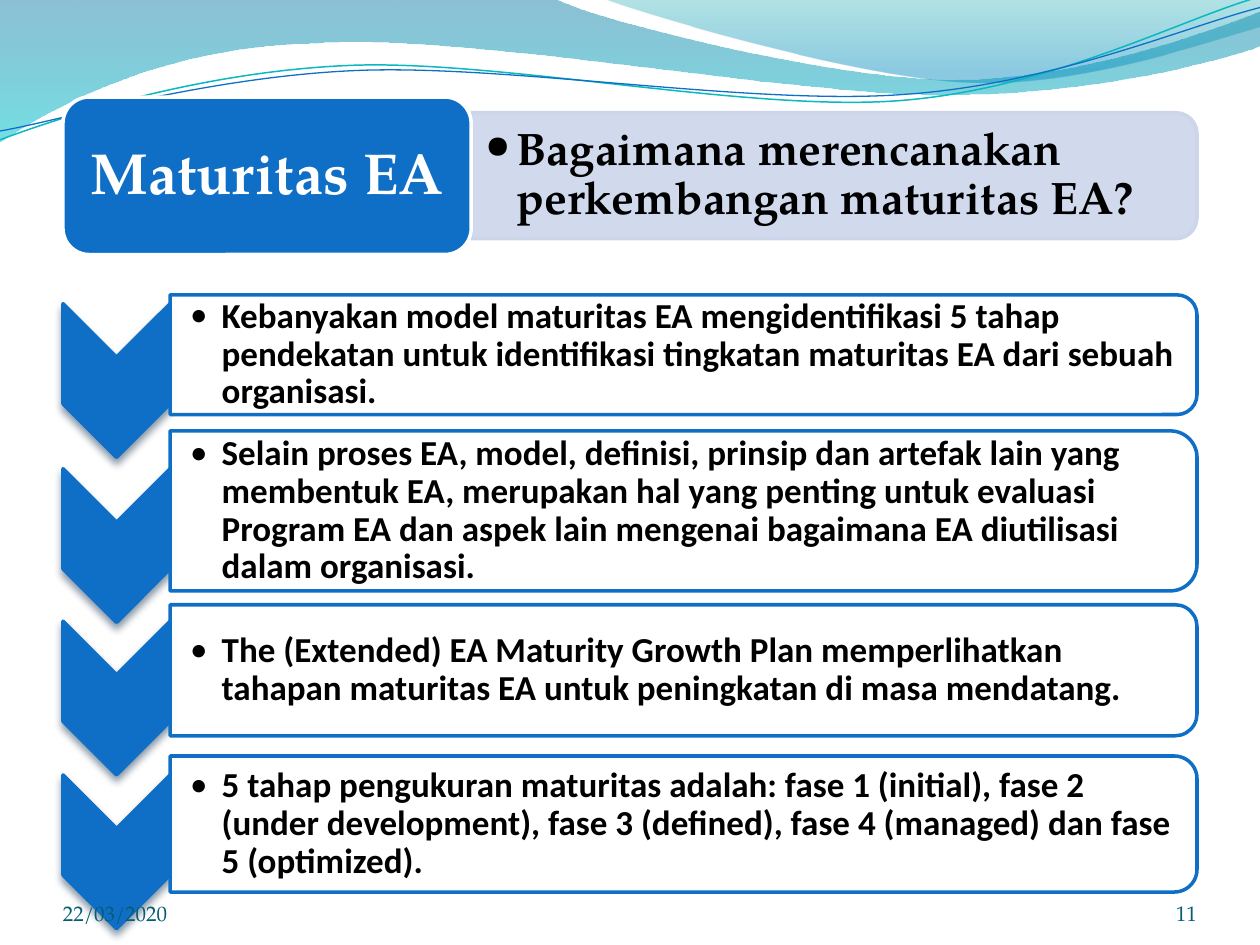
from lxml import etree
from pptx import Presentation
from pptx import util as u
from pptx.dml.color import RGBColor
from pptx.enum import shapes as s, text as t
from pptx.oxml.ns import qn

BLUE = RGBColor(0x0F, 0x6F, 0xC6)
TURQUOISE = RGBColor(0x0A, 0xB8, 0xBF)
LAVENDER = RGBColor(0xCC, 0xD5, 0xEA)
WHITE = RGBColor(0xFF, 0xFF, 0xFF)
BLACK = RGBColor(0, 0, 0)
FOOTER = RGBColor(0x04, 0x5D, 0x75)
SHADOW = RGBColor(0x04, 0x27, 0x47)
SERIF, SANS = "TeX Gyre Pagella", "Calibri"

BANDS = [
    ([(0, 0), [(4.4, -0.01)],
      [(4.76, 0.17), (6.64, 0.63), (7.58, 0.63)], [(8.53, 0.63), (9.58, 0.26), (10, 0.09)],
      [(10.01, 0.36)],
      [(9.83, 0.44), (8.7, 0.76), (7.46, 0.75)], [(6.22, 0.75), (3.82, 0.28), (2.57, 0.34)],
      [(1.29, 0.36), (0.46, 0.83), (-0.01, 1.13)], [(0, 0)]],
     [(0, RGBColor(0x00, 0x74, 0xA1), 45), (100, RGBColor(0x00, 0xC6, 0xCF), 55)]),
    ([(4.79, -0.01),
      [(5.09, 0.11), (6.82, 0.62), (7.69, 0.65)], [(8.56, 0.69), (9.61, 0.32), (10, 0.21)],
      [(10, 0)], [(4.79, -0.01)]],
     [(0, RGBColor(0x00, 0xA1, 0xA9), 30), (80, RGBColor(0x00, 0x8B, 0xBF), 45)]),
]
RIPPLES = [
    ([(0, 1.11), [(0.48, 0.93), (1.58, 0.57), (2.77, 0.52)],
      [(3.95, 0.47), (5.93, 0.89), (7.13, 0.8)], [(8.33, 0.71), (9.38, 0.15), (9.98, -0.02)]],
     TURQUOISE, 0.85),
    ([(0, 1.04), [(0.47, 0.96), (1.64, 0.61), (2.83, 0.56)],
      [(4.03, 0.51), (5.97, 0.84), (7.17, 0.75)], [(8.36, 0.67), (9.41, 0.21), (10, 0.06)]],
     BLUE, 0.75),
]
POINTS = [
    (2.34, 0.95, 2.41, "Kebanyakan model maturitas EA mengidentifikasi 5 tahap pendekatan "
     "untuk identifikasi tingkatan maturitas EA dari sebuah organisasi."),
    (3.42, 1.27, 3.72, "Selain proses EA, model, definisi, prinsip dan artefak lain yang "
     "membentuk EA, merupakan hal yang penting untuk evaluasi Program EA dan aspek lain "
     "mengenai bagaimana EA diutilisasi dalam organisasi."),
    (4.8, 1.04, 4.93, "The (Extended) EA Maturity Growth Plan memperlihatkan tahapan "
     "maturitas EA untuk peningkatan di masa mendatang."),
    (6, 1.08, 6.15, "5 tahap pengukuran maturitas adalah: fase 1 (initial), fase 2 (under "
     "development), fase 3 (defined), fase 4 (managed) dan fase 5 (optimized)."),
]


def set_alpha(parent, percent):
    """Give every RGB colour below an element the same opacity."""
    for colour in parent.iter(qn("a:srgbClr")):
        etree.SubElement(colour, qn("a:alpha")).set("val", str(percent * 1000))


def write(shape, content, font=SERIF, size=12, colour=BLACK, bold=False, bullet=False,
          align=t.PP_ALIGN.LEFT, anchor=t.MSO_ANCHOR.MIDDLE, insets=(0, 0, 0, 0), spacing=None):
    """Fill a shape with one formatted paragraph."""
    frame = shape.text_frame
    frame.word_wrap = True
    frame.auto_size = t.MSO_AUTO_SIZE.NONE
    frame.vertical_anchor = anchor
    (frame.margin_left, frame.margin_top,
     frame.margin_right, frame.margin_bottom) = map(u.Inches, insets)
    paragraph = frame.paragraphs[0]
    paragraph.alignment = align
    paragraph.line_spacing = spacing
    run = paragraph.add_run()
    run.text = content
    run.font.name, run.font.size, run.font.bold = font, u.Pt(size), bold
    run.font.color.rgb = colour
    if bullet:
        properties = paragraph._p.get_or_add_pPr()
        properties.set("marL", str(u.Inches(0.25)))
        properties.set("indent", str(-u.Inches(0.25)))
        etree.SubElement(properties, qn("a:buFont")).set("typeface", font)
        etree.SubElement(properties, qn("a:buChar")).set("char", "•")


def add_text(slide, x, y, w, h, content, **style):
    """Add a text box with formatted text."""
    write(slide.shapes.add_textbox(*map(u.Inches, (x, y, w, h))), content, **style)


def add_block(slide, kind, x, y, w, h, fill, line, quarter_turn=False):
    """Add a filled preset that covers the given box, turned clockwise if asked."""
    if quarter_turn:
        x, y, w, h = x + (w - h) / 2, y + (h - w) / 2, h, w
    block = slide.shapes.add_shape(kind, *map(u.Inches, (x, y, w, h)))
    block.rotation = 90 if quarter_turn else 0
    block.shadow.inherit = False
    block.fill.solid()
    block.fill.fore_color.rgb = fill
    block.line.color.rgb = line
    block.line.width = u.Pt(2)
    return block


def add_panel(slide, x, y, w, h, fill, line):
    """Add a translucent panel rounded on its right side."""
    panel = add_block(slide, s.MSO_SHAPE.ROUND_2_SAME_RECTANGLE, x, y, w, h, fill, line, True)
    set_alpha(panel._element.spPr.find(qn("a:solidFill")), 90)


def add_curve(slide, outline, closed):
    """Draw an outline of straight and cubic segments as a freeform."""
    start, *segments = outline
    builder = slide.shapes.build_freeform(*map(u.Inches, start))
    builder.add_line_segments([(u.Inches(x), u.Inches(y)) for segment in segments
                               for x, y in segment], close=closed)
    curve = builder.convert_to_shape()
    curve.shadow.inherit = False
    lines = iter(list(curve._element.spPr.iter(qn("a:lnTo"))))
    for segment in segments:
        first, *others = [next(lines) for _ in segment]
        if others:
            first.tag = qn("a:cubicBezTo")
            for other in others:
                first.append(other[0])
                other.getparent().remove(other)
    return curve


def add_waves(slide):
    """Draw the gradient bands and thin ripples along the top edge."""
    for outline, stops in BANDS:
        band = add_curve(slide, outline, True)
        band.line.fill.background()
        band.fill.gradient()
        band.fill.gradient_angle = 270
        elements = band._element.spPr.iter(qn("a:gs"))
        for stop, element, (position, colour, opacity) in zip(
                band.fill.gradient_stops, elements, stops):
            stop.color.rgb = colour
            element.set("pos", str(position * 1000))
            set_alpha(element, opacity)
    for outline, colour, width in RIPPLES:
        ripple = add_curve(slide, outline, False)
        ripple.fill.background()
        ripple.line.color.rgb = colour
        ripple.line.width = u.Pt(width)


def add_heading(slide, x, y, w, h):
    """Place the title block and the question beside it."""
    label = 3.24
    panel_h = h * 0.8
    panel = (x + label, y + (h - panel_h) / 2, w - label, panel_h)
    add_panel(slide, *panel, LAVENDER, LAVENDER)
    add_text(slide, panel[0], panel[1] + 0.05, panel[2] - 0.05, panel_h - 0.1,
             "Bagaimana merencanakan perkembangan maturitas EA?", size=26, bold=True,
             bullet=True, spacing=0.9, insets=(0.11, 0.05, 0.11, 0.05))
    add_block(slide, s.MSO_SHAPE.ROUNDED_RECTANGLE, x, y, label, h, BLUE, WHITE)
    title = slide.shapes.title
    title.left, title.top, title.width, title.height = map(
        u.Inches, (x + 0.06, y + 0.06, label - 0.12, h - 0.12))
    write(title, "Maturitas EA", size=33, colour=WHITE, bold=True, spacing=0.9,
          align=t.PP_ALIGN.CENTER, insets=(0.14, 0.07, 0.14, 0.07))
    slide.shapes._spTree.append(title._element)


def add_point(slide, x, y, w, h, chevron_top, content):
    """Place one chevron and the bulleted panel it leads to."""
    arrow = 0.85
    chevron = add_block(slide, s.MSO_SHAPE.CHEVRON, x, chevron_top, arrow, 1.22,
                        BLUE, BLUE, True)
    effects = chevron._element.spPr.find(qn("a:effectLst"))
    shadow = etree.SubElement(effects, qn("a:outerShdw"), blurRad=str(u.Pt(4.5)),
                              dist=str(u.Pt(3)), dir="5400000", rotWithShape="0")
    etree.SubElement(shadow, qn("a:srgbClr"), val=str(SHADOW))
    set_alpha(shadow, 48)
    add_panel(slide, x + arrow, y, w - arrow, h, WHITE, BLUE)
    add_text(slide, x + arrow, y + 0.05, w - arrow - 0.05, h - 0.1, content, font=SANS, size=20,
             bold=True, bullet=True, spacing=0.9, insets=(0.16, 0.01, 0.01, 0.01))


def add_footer(slide, x, y, w, h):
    """Place the date on the left and the page number on the right."""
    style = {"colour": FOOTER, "anchor": t.MSO_ANCHOR.BOTTOM}
    add_text(slide, x, y, 2.33, h, "22/03/2020", **style)
    add_text(slide, x + w - 0.83, y, 0.83, h, "11", align=t.PP_ALIGN.RIGHT, **style)


def main():
    """Build and save the slide."""
    deck = Presentation()
    deck.slide_width, deck.slide_height = u.Inches(10), u.Inches(7.5)
    slide = deck.slides.add_slide(deck.slide_layouts[5])
    left, width = 0.5, 9
    add_waves(slide)
    add_heading(slide, left, 0.77, width, 1.25)
    for top, height, chevron_top, content in POINTS:
        add_point(slide, left, top, width, height, chevron_top, content)
    add_footer(slide, left, 6.95, width, 0.4)
    deck.save("out.pptx")


if __name__ == "__main__":
    main()
